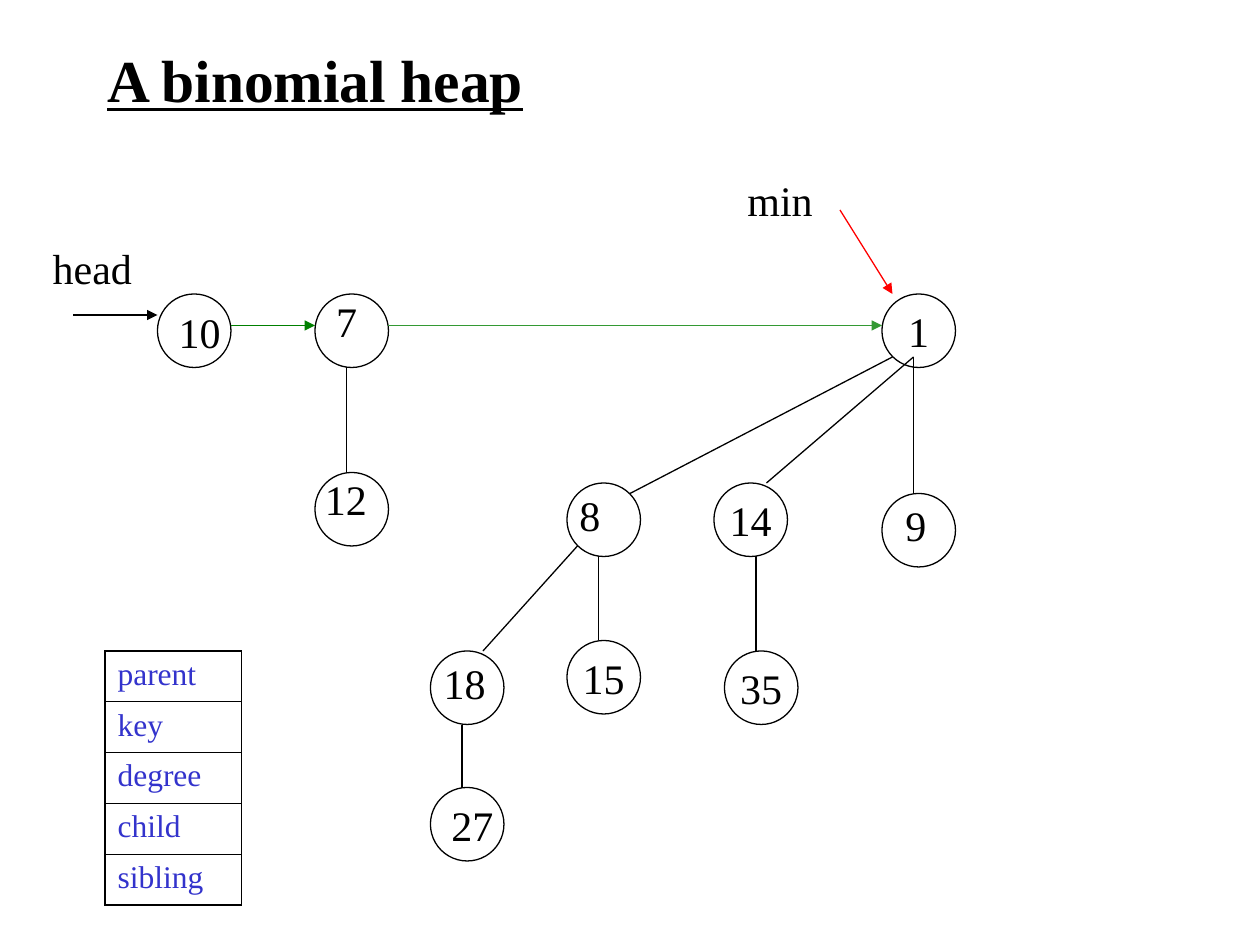
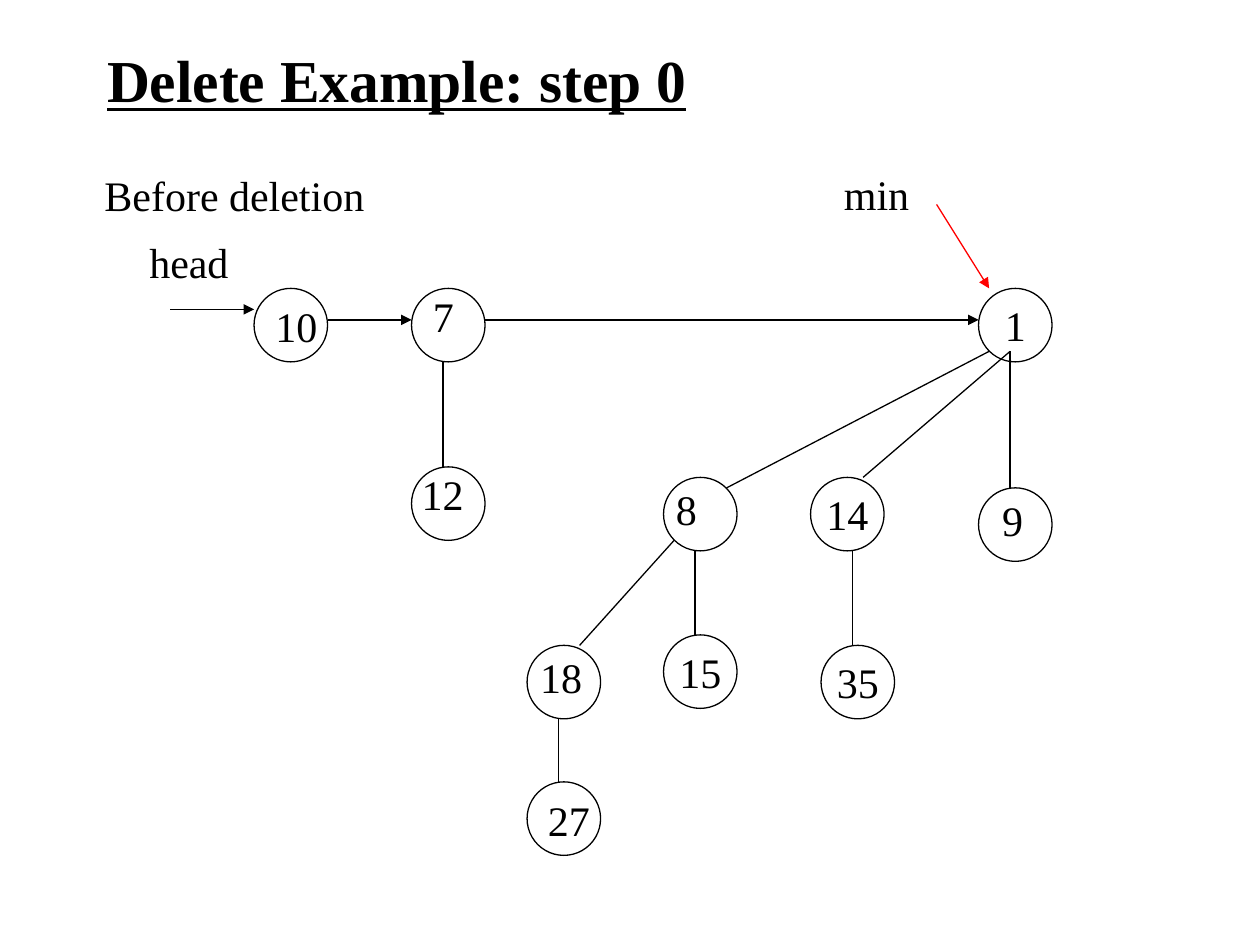
from dataclasses import dataclass
from typing import NamedTuple, Optional

from lxml.etree import SubElement
from pptx import Presentation
from pptx.dml.color import RGBColor
from pptx.enum.shapes import MSO_CONNECTOR, MSO_SHAPE
from pptx.enum.text import MSO_ANCHOR, MSO_AUTO_SIZE, PP_ALIGN
from pptx.oxml.ns import qn
from pptx.slide import Slide
from pptx.text.text import TextFrame
from pptx.util import Pt

COLORS = {
    "ink": "000000",
    "first_sibling": "008000",
    "second_sibling": "339933",
    "min": "FF0000",
    "field": "3333CC",
}
FONT = "Times New Roman"
NODE_SIZE = 42
LINE_WIDTH = 0.74
KEY_SIZE = 24
LABEL_HEIGHT = 36
SIDE_INSET, TOP_INSET = 7.2, 3.6


class Point(NamedTuple):
    x: float
    y: float


@dataclass(frozen=True)
class Node:
    key: str
    at: Point
    # Shift of a separate key label; None puts the key inside the circle
    key_shift: Optional[Point] = None


@dataclass(frozen=True)
class Link:
    start: Point
    end: Point
    color: str = "ink"
    arrow: bool = False


@dataclass(frozen=True)
class Label:
    words: str
    at: Point
    width: float


# Contents of the heap, shared by both slides
NODES = [
    Node("10", Point(90, 168), Point(5, 3.4)),
    Node("7", Point(180, 168), Point(5, -2.4)),
    Node("12", Point(180, 270), Point(-1.4, -2.9)),
    Node("1", Point(504, 168)),
    Node("9", Point(504, 282), Point(6.3, 0)),
    Node("14", Point(408, 276)),
    Node("35", Point(414, 372)),
    Node("8", Point(324, 276), Point(0, 0)),
    Node("15", Point(324, 366)),
    Node("18", Point(246, 372), Point(0.4, 0)),
    Node("27", Point(246, 450), Point(4.8, 3.6)),
]
CHILD_LINKS = [
    Link(Point(198, 210), Point(198, 270)),
    Link(Point(432, 318), Point(432, 372)),
    Link(Point(342, 318), Point(342, 366)),
    Link(Point(264, 414), Point(264, 450)),
    Link(Point(330, 312), Point(276, 372)),
    Link(Point(510, 204), Point(360, 282)),
    Link(Point(522, 204), Point(438, 276)),
    Link(Point(522, 204), Point(522, 282)),
]
POINTER_LINKS = [
    Link(Point(480, 120), Point(510, 168), "min", True),
    Link(Point(42, 180), Point(90, 180), arrow=True),
]
POINTER_LABELS = [
    Label("min", Point(420, 96), 52),
    Label("head", Point(23, 135), 60),
]
NODE_FIELDS = ["parent", "key", "degree", "child", "sibling"]


def rgb(color: str) -> RGBColor:
    return RGBColor.from_string(COLORS[color])


def format_text(frame: TextFrame, size: float, color: str = "ink") -> None:
    frame.margin_left = frame.margin_right = Pt(SIDE_INSET)
    frame.margin_top = frame.margin_bottom = Pt(TOP_INSET)
    for run in frame.paragraphs[0].runs:
        run.font.name = FONT
        run.font.size = Pt(size)
        run.font.color.rgb = rgb(color)


def add_titled_slide(deck: Presentation, words: str) -> Slide:
    slide = deck.slides.add_slide(deck.slide_layouts[5])
    title = slide.shapes.title
    title.left, title.top, title.width, title.height = Pt(54), Pt(24), Pt(486), Pt(42)
    frame = title.text_frame
    frame.text = words
    frame.auto_size = MSO_AUTO_SIZE.NONE
    frame.vertical_anchor = MSO_ANCHOR.MIDDLE
    format_text(frame, 34)
    heading = frame.paragraphs[0]
    heading.alignment = PP_ALIGN.LEFT
    heading.runs[0].font.bold = True
    heading.runs[0].font.underline = True
    return slide


def add_label(slide: Slide, label: Label, origin: Point) -> None:
    box = slide.shapes.add_textbox(
        Pt(label.at.x + origin.x), Pt(label.at.y + origin.y),
        Pt(label.width), Pt(LABEL_HEIGHT))
    frame = box.text_frame
    frame.text = label.words
    frame.word_wrap = False
    frame.auto_size = MSO_AUTO_SIZE.SHAPE_TO_FIT_TEXT
    format_text(frame, KEY_SIZE)


def add_node(slide: Slide, node: Node, origin: Point) -> None:
    circle = slide.shapes.add_shape(
        MSO_SHAPE.OVAL, Pt(node.at.x + origin.x), Pt(node.at.y + origin.y),
        Pt(NODE_SIZE), Pt(NODE_SIZE))
    circle.shadow.inherit = False
    circle.fill.background()
    circle.line.color.rgb = rgb("ink")
    circle.line.width = Pt(LINE_WIDTH)
    if node.key_shift is None:
        frame = circle.text_frame
        frame.text = node.key
        frame.word_wrap = False
        frame.vertical_anchor = MSO_ANCHOR.MIDDLE
        frame.paragraphs[0].alignment = PP_ALIGN.CENTER
        format_text(frame, KEY_SIZE)
    else:
        # A digit is half as wide as the type size
        width = len(node.key) * KEY_SIZE / 2 + 2 * SIDE_INSET
        at = Point(node.at.x + node.key_shift.x, node.at.y + node.key_shift.y)
        add_label(slide, Label(node.key, at, width), origin)


def add_link(slide: Slide, link: Link, origin: Point) -> None:
    line = slide.shapes.add_connector(
        MSO_CONNECTOR.STRAIGHT,
        Pt(link.start.x + origin.x), Pt(link.start.y + origin.y),
        Pt(link.end.x + origin.x), Pt(link.end.y + origin.y))
    line.line.color.rgb = rgb(link.color)
    line.line.width = Pt(LINE_WIDTH)
    properties = line._element.spPr
    if link.arrow:
        SubElement(properties.find(qn("a:ln")), qn("a:tailEnd"), type="triangle")
    SubElement(properties, qn("a:effectLst"))


def add_heap(slide: Slide, origin: Point, first: str, second: str) -> None:
    sibling_links = [
        Link(Point(132, 186), Point(180, 186), first, True),
        Link(Point(222, 186), Point(504, 186), second, True),
    ]
    for node in NODES:
        add_node(slide, node, origin)
    for link in CHILD_LINKS + sibling_links + POINTER_LINKS:
        add_link(slide, link, origin)
    for label in POINTER_LABELS:
        add_label(slide, label, origin)


def add_field_table(slide: Slide) -> None:
    row_height, last = 29, len(NODE_FIELDS) - 1
    table = slide.shapes.add_table(
        len(NODE_FIELDS), 1, Pt(60), Pt(372), Pt(78),
        Pt(row_height * len(NODE_FIELDS))).table
    table.first_row = table.horz_banding = False
    for index, field in enumerate(NODE_FIELDS):
        table.rows[index].height = Pt(row_height)
        cell = table.cell(index, 0)
        cell.text_frame.text = field
        cell.text_frame.paragraphs[0].space_before = Pt(4.5)
        cell.margin_left = cell.margin_right = Pt(SIDE_INSET)
        cell.margin_top = cell.margin_bottom = Pt(TOP_INSET)
        for run in cell.text_frame.paragraphs[0].runs:
            run.font.name = FONT
            run.font.size = Pt(18)
            run.font.color.rgb = rgb("field")
        cell.fill.background()

        # Heavier outer frame, thin rules between the fields
        outer, inner = 1.08, 0.45
        borders = {
            "a:lnL": outer,
            "a:lnR": outer,
            "a:lnT": outer if index == 0 else inner,
            "a:lnB": outer if index == last else inner,
        }
        properties = cell._tc.get_or_add_tcPr()
        for position, (side, width) in enumerate(borders.items()):
            border = SubElement(properties, qn(side), w=str(int(Pt(width))))
            fill = SubElement(border, qn("a:solidFill"))
            SubElement(fill, qn("a:srgbClr"), val=COLORS["ink"])
            properties.insert(position, border)


deck = Presentation()
deck.slide_width, deck.slide_height = Pt(720), Pt(540)

# Slide 1: the heap and the fields of a node
heap_slide = add_titled_slide(deck, "A binomial heap")
add_heap(heap_slide, Point(0, 0), "first_sibling", "second_sibling")
add_field_table(heap_slide)

# Slide 2: the same heap before a deletion
delete_slide = add_titled_slide(deck, "Delete Example: step 0")
add_label(delete_slide, Label("Before deletion", Point(52.6, 93.6), 163), Point(0, 0))
add_heap(delete_slide, Point(55.2, -3.2), "ink", "ink")

deck.save("out.pptx")
